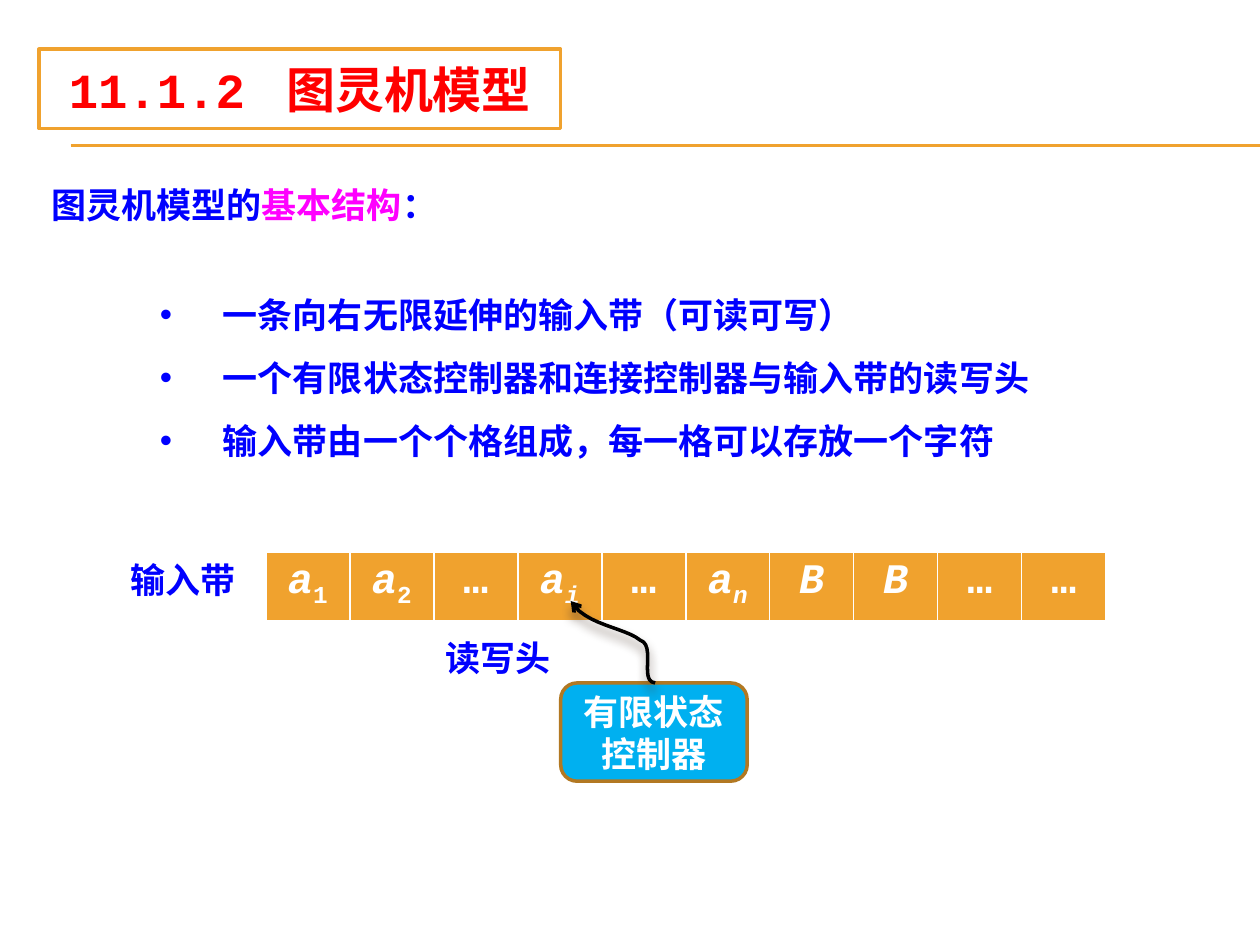
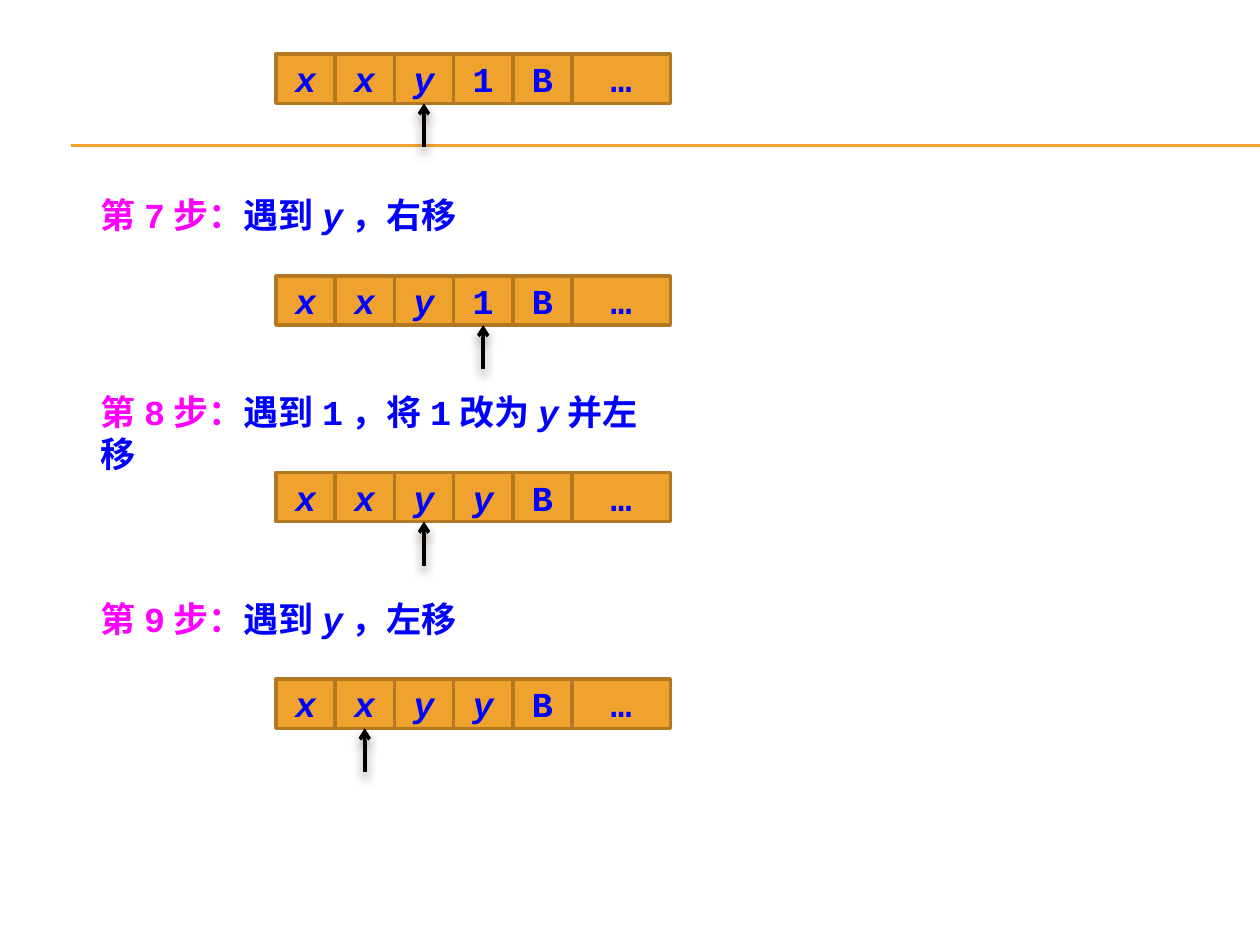
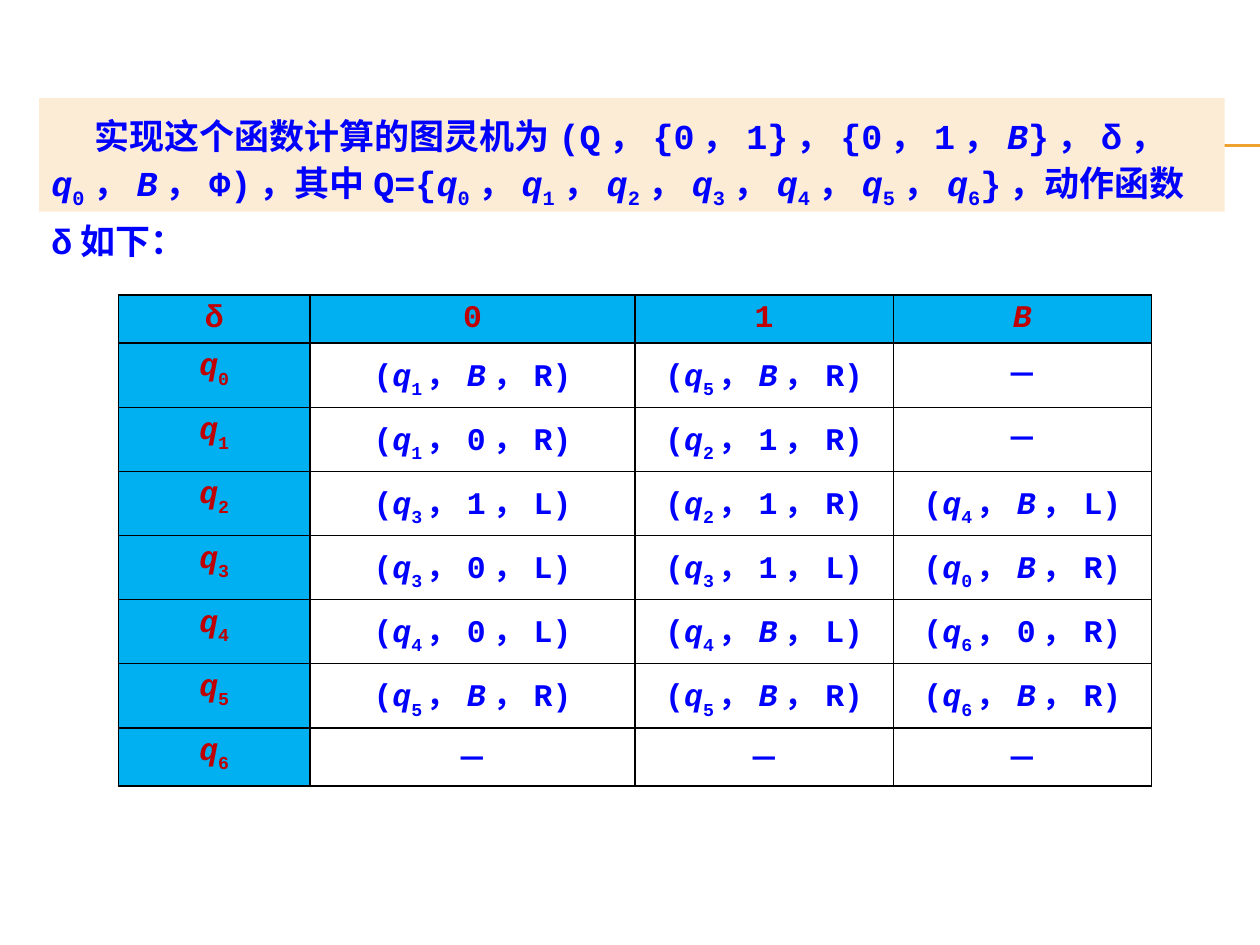
import pptx
import pptx.util
import pptx.dml.color
import pptx.enum.shapes
import pptx.enum.text
import pptx.oxml
import pptx.oxml.ns
from lxml import etree

Inches, Pt = pptx.util.Inches, pptx.util.Pt
SHAPE = pptx.enum.shapes.MSO_SHAPE
ALIGN = pptx.enum.text.PP_ALIGN
ANCHOR = pptx.enum.text.MSO_ANCHOR
qn = pptx.oxml.ns.qn

LATIN, CJK = "Courier New", "Noto Sans CJK SC"
ORANGE, BROWN, CREAM, SKY = "F0A22E", "B27822", "FCECD5", "00B0F0"
BLUE, MAGENTA, RED, DARK_RED = "0000FF", "FF00FF", "FF0000", "C00000"
WHITE, BLACK, SHADOW = "FFFFFF", "000000", "4E3B30"

# Markup: *italic*, and _ puts the next character in subscript.
TITLE = "11.1.2 图灵机模型"
LEAD = [("图灵机模型的", BLUE), ("基本结构", MAGENTA), ("：", BLUE)]
BULLETS = [
    "一条向右无限延伸的输入带（可读可写）",
    "一个有限状态控制器和连接控制器与输入带的读写头",
    "输入带由一个个格组成，每一格可以存放一个字符",
]
INPUT_TAPE = ["*a*_1", "*a*_2", "…", "*a_i*", "…", "*a_n*", "*B*", "*B*", "…", "…"]
HEAD_CURVE = [
    ((5.2, 5.42), (5.07, 5.41), (5.21, 5.12), (5.08, 5.08)),
    ((5.08, 5.08), (4.96, 4.98), (4.64, 4.96), (4.53, 4.77)),
]

STEPS = [
    (0.43, None, None, ["*x*", "*x*", "*y*", "1", "B", "…"], 2),
    (2.19, "第7步：", "遇到*y*，右移", ["*x*", "*x*", "*y*", "1", "B", "…"], 3),
    (3.75, "第8步：", "遇到1，将1改为*y*并左移", ["*x*", "*x*", "*y*", "*y*", "B", "…"], 2),
    (5.39, "第9步：", "遇到*y*，左移", ["*x*", "*x*", "*y*", "*y*", "B", "…"], 1),
]

STATES = "，".join(f"*q*_{n}" for n in range(7))
MACHINE = ("实现这个函数计算的图灵机为(Q，{0，1}，{0，1，*B*}，δ，*q*_0，*B*，Φ)，"
           "其中Q={" + STATES + "}，动作函数δ如下：")
SYMBOLS = ["δ", "0", "1", "*B*"]
MOVES = [
    ["1BR", "5BR", ""],
    ["10R", "21R", ""],
    ["31L", "21R", "4BL"],
    ["30L", "31L", "0BR"],
    ["40L", "4BL", "60R"],
    ["5BR", "5BR", "6BR"],
    ["", "", ""],
]


def rgb(value):
    return pptx.dml.color.RGBColor.from_string(value)


def child(parent, tag, **attrs):
    return etree.SubElement(parent, qn(tag), attrs)


def split_markup(text):
    for i, part in enumerate(text.split("*")):
        for j, bit in enumerate(part.split("_")):
            pieces = [(bit[:1], True), (bit[1:], False)] if j else [(bit, False)]
            for piece, low in pieces:
                if piece:
                    yield piece, i % 2 == 1, low


def write(p, parts, size=20, align=None, drop=-25):
    p.alignment = align
    for text, color in parts:
        for piece, italic, low in split_markup(text):
            r = p.add_run()
            r.text = piece
            f = r.font
            f.size, f.bold, f.italic, f.name = Pt(size), True, italic, LATIN
            f.color.rgb = rgb(color)
            rpr = r._r.get_or_add_rPr()
            child(rpr, "a:ea", typeface=CJK)
            if low:
                rpr.set("baseline", str(drop * 1000))


def text_box(shapes, x, y, w, h, parts=()):
    sp = shapes.add_textbox(Inches(x), Inches(y), Inches(w), Inches(h))
    sp.text_frame.word_wrap = True
    write(sp.text_frame.paragraphs[0], parts)
    return sp


def box(shapes, kind, x, y, w, h, fill, line, parts):
    sp = shapes.add_shape(kind, Inches(x), Inches(y), Inches(w), Inches(h))
    sp.shadow.inherit = False
    sp.fill.solid()
    sp.fill.fore_color.rgb = rgb(fill)
    if line:
        sp.line.color.rgb = rgb(line)
        sp.line.width = Pt(2)
    else:
        sp.line.fill.background()
    sp.text_frame.word_wrap = True
    sp.text_frame.vertical_anchor = ANCHOR.MIDDLE
    write(sp.text_frame.paragraphs[0], parts, align=ALIGN.CENTER)
    return sp


def line(shapes, x1, y1, x2, y2, color, width):
    cx = shapes.add_connector(pptx.enum.shapes.MSO_CONNECTOR.STRAIGHT,
                              Inches(x1), Inches(y1), Inches(x2), Inches(y2))
    cx.line.color.rgb = rgb(color)
    cx.line.width = Pt(width)
    child(cx.element.spPr, "a:effectLst")
    return cx


def style_arrow(sp):
    sp.line.color.rgb = rgb(BLACK)
    sp.line.width = Pt(2)
    child(sp.line._get_or_add_ln(), "a:tailEnd", type="arrow")
    effects = sp.element.spPr.find(qn("a:effectLst"))
    shadow = child(effects, "a:outerShdw", blurRad=str(Pt(6)), dist=str(Pt(4)),
                   dir="5400000", rotWithShape="0")
    child(child(shadow, "a:srgbClr", val=SHADOW), "a:alpha", val="60000")


def curve_points(segments, steps=12):
    for a, b, c, d in segments:
        for n in range(1, steps + 1):
            t = n / steps
            u = 1 - t
            yield tuple(Inches(u**3 * a[k] + 3 * u * u * t * b[k] + 3 * u * t * t * c[k] + t**3 * d[k])
                        for k in (0, 1))


def add_grid(s, x, y, widths, heights):
    tb = s.shapes.add_table(len(heights), len(widths), Inches(x), Inches(y),
                            Inches(sum(widths)), Inches(sum(heights))).table
    tb.first_row = tb.horz_banding = False
    for col, w in zip(tb.columns, widths):
        col.width = Inches(w)
    for row, h in zip(tb.rows, heights):
        row.height = Inches(h)
    return tb


def fill_cell(cell, text, color, size, fill, border, bottom=1, drop=-25):
    write(cell.text_frame.paragraphs[0], [(text, color)], size, ALIGN.CENTER, drop)
    tcpr = cell._tc.get_or_add_tcPr()
    for side, width in (("L", 1), ("R", 1), ("T", 1), ("B", bottom)):
        ln = child(tcpr, "a:ln" + side, w=str(Pt(width)))
        child(child(ln, "a:solidFill"), "a:srgbClr", val=border)
    if fill:
        cell.fill.solid()
        cell.fill.fore_color.rgb = rgb(fill)
    else:
        cell.fill.background()


def add_master_rules(prs, s):
    for n, y in enumerate((1.15, 1.16)):
        cx = line(s.shapes, 0.56, y, 10, y, ORANGE, 0.75)
        cx.element.nvCxnSpPr.cNvPr.id = 100 + n
        prs.slide_master.shapes.element.append(cx.element)


def build_model(prs):
    s = prs.slides.add_slide(prs.slide_layouts[5])
    add_master_rules(prs, s)
    title = s.shapes.title
    title.left, title.top, title.width, title.height = map(Inches, (0.31, 0.39, 4.14, 0.63))
    title.fill.solid()
    title.fill.fore_color.rgb = rgb(WHITE)
    title.line.color.rgb = rgb(ORANGE)
    title.line.width = Pt(2)
    tf = title.text_frame
    tf.margin_top = tf.margin_bottom = Inches(0.08)
    tf.vertical_anchor = ANCHOR.TOP
    tf.auto_size = pptx.enum.text.MSO_AUTO_SIZE.NONE
    write(tf.paragraphs[0], [(TITLE, RED)], 28, ALIGN.CENTER)

    text_box(s.shapes, 0.31, 1.41, 4.14, 0.44, LEAD)
    text_box(s.shapes, 0.94, 4.38, 1.09, 0.44, [("输入带", BLUE)])
    tape = add_grid(s, 2.11, 4.38, [2 / 3] * len(INPUT_TAPE), [0.41])
    for cell, text in zip(tape.rows[0].cells, INPUT_TAPE):
        fill_cell(cell, text, WHITE, 24, ORANGE, WHITE, bottom=3)
    text_box(s.shapes, 3.44, 5, 1.09, 0.44, [("读写头", BLUE)])
    box(s.shapes, SHAPE.ROUNDED_RECTANGLE, 4.45, 5.42, 1.48, 0.78, SKY, BROWN,
        [("有限状态控制器", WHITE)])

    x, y = HEAD_CURVE[0][0]
    fb = s.shapes.build_freeform(Inches(x), Inches(y))
    fb.add_line_segments(list(curve_points(HEAD_CURVE)), close=False)
    head = fb.convert_to_shape()
    head.shadow.inherit = False
    head.fill.background()
    style_arrow(head)

    tf = text_box(s.shapes, 1.17, 2.11, 8.05, 1.62).text_frame
    for n, text in enumerate(BULLETS):
        p = tf.add_paragraph() if n else tf.paragraphs[0]
        write(p, [(text, BLUE)])
        p.line_spacing = 1.5
        ppr = p._p.get_or_add_pPr()
        ppr.set("marL", str(Inches(0.5)))
        ppr.set("indent", str(Inches(-0.5)))
        child(ppr, "a:buFont", typeface="Arial")
        child(ppr, "a:buChar", char="•")


def build_steps(prs):
    s = prs.slides.add_slide(prs.slide_layouts[6])
    left, cell_w, last_w, cell_h, arrow_h = 2.19, 0.47, 0.78, 0.39, 0.35
    for top, step, action, symbols, head in STEPS:
        shapes = s.shapes
        if step:
            shapes = s.shapes.add_group_shape().shapes
            text_box(shapes, 0.7, top - 0.7, 4.53, 0.44, [(step, MAGENTA), (action, BLUE)])
        cells = [box(shapes, SHAPE.RECTANGLE, left + n * cell_w, top,
                     last_w if n == len(symbols) - 1 else cell_w, cell_h,
                     ORANGE, BROWN, [(text, BLUE)])
                 for n, text in enumerate(symbols)]
        x, y = left + (head + 0.5) * cell_w, top + cell_h
        arrow = line(shapes, x, y + arrow_h, x, y, BLACK, 2)
        arrow.end_connect(cells[head], 2)
        style_arrow(arrow)


def build_function(prs):
    s = prs.slides.add_slide(prs.slide_layouts[6])
    sp = box(s.shapes, SHAPE.RECTANGLE, 0.31, 0.78, 9.41, 0.9, CREAM, None, [(MACHINE, BLUE)])
    sp.text_frame.vertical_anchor = ANCHOR.TOP
    p = sp.text_frame.paragraphs[0]
    p.alignment = ALIGN.LEFT
    p.line_spacing = Pt(30)
    p._p.get_or_add_pPr().set("indent", str(Inches(0.34)))

    rows = [SYMBOLS]
    for n, moves in enumerate(MOVES):
        rows.append([f"*q*_{n}"] + [
            "(*q*_{}，{}，{})".format(m[0], m[1].replace("B", "*B*"), m[2]) if m else "－"
            for m in moves])
    tb = add_grid(s, 0.94, 2.34, [1.52, 2.58, 2.05, 2.05], [0.21] + [0.25] * len(MOVES))
    for i, row in enumerate(rows):
        for j, text in enumerate(row):
            heading = i == 0 or j == 0
            fill_cell(tb.cell(i, j), text, DARK_RED if heading else BLUE, 18,
                      SKY if heading else None, BLACK, drop=-30)


def main():
    prs = pptx.Presentation()
    prs.slide_width, prs.slide_height = Inches(10), Inches(7.5)
    build_model(prs)
    build_steps(prs)
    build_function(prs)
    prs.save("out.pptx")


if __name__ == "__main__":
    main()
